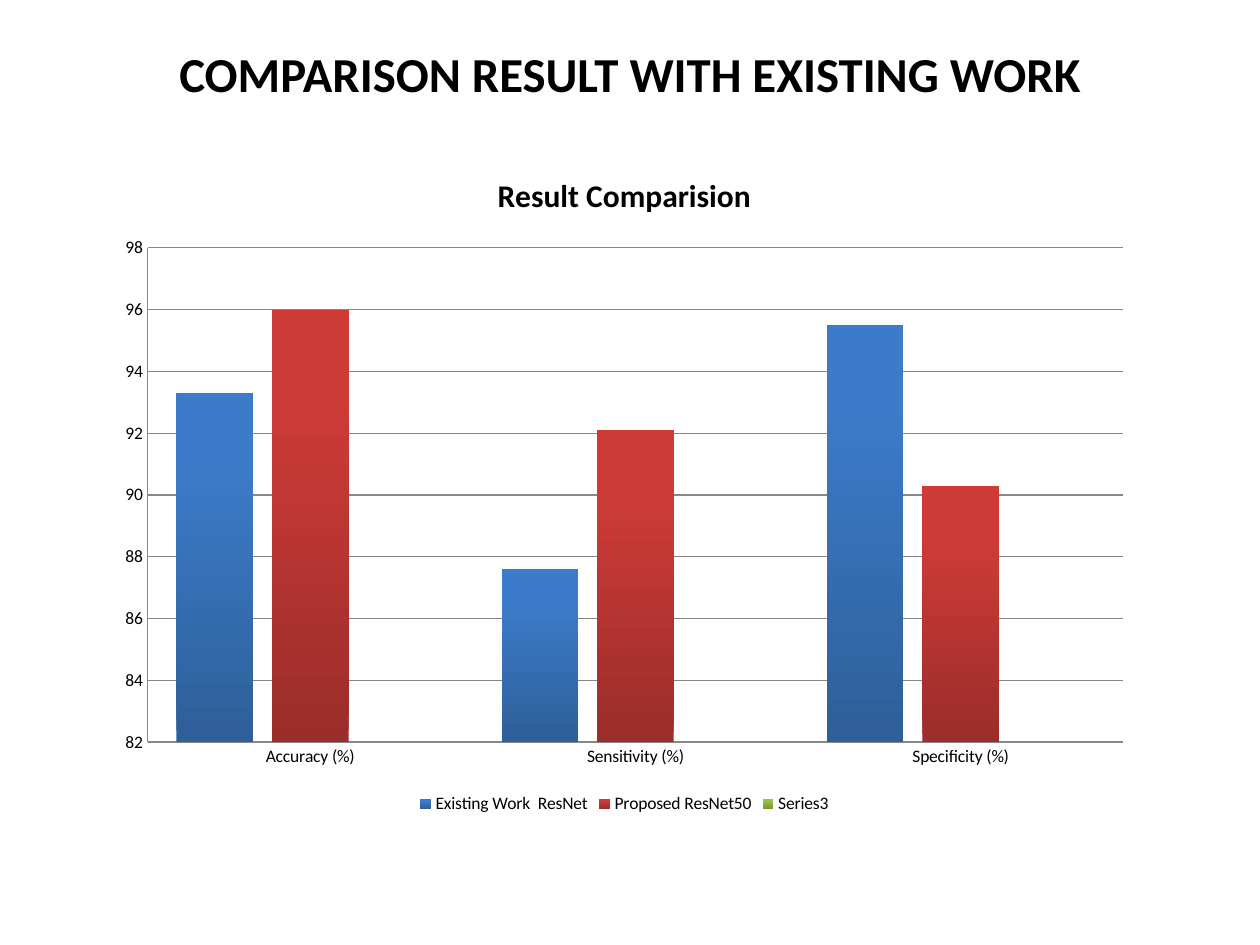
from pptx import Presentation
from pptx.chart.data import CategoryChartData
from pptx.dml.color import RGBColor
from pptx.enum.chart import XL_CHART_TYPE as ChartType
from pptx.enum.chart import XL_LEGEND_POSITION as LegendPosition
from pptx.enum.chart import XL_TICK_MARK as TickMark
from pptx.enum.text import MSO_ANCHOR as Anchor
from pptx.enum.text import PP_ALIGN as Align
from pptx.util import Inches, Pt

COLORS = {"text": "000000", "line": "878787"}
CATEGORIES = ["Accuracy (%)", "Sensitivity (%)", "Specificity (%)"]
SERIES = [
    ("Existing Work  ResNet", [93.3, 87.6, 95.5], ("2E5F99", "3C7BC9")),
    ("Proposed ResNet50", [96, 92.1, 90.3], ("9B2D2A", "CE3B37")),
    ("Series3", [None, None, None], ("769535", "9BC348")),
]
TITLE_BOX = (0.5, 0.3, 9, 1.25)
CHART_BOX = (0.83, 1.17, 8.25, 5.33)


def set_attributes(target, values):
    for name, value in values.items():
        setattr(target, name, value)


def format_font(font, size, bold=False):
    set_attributes(font, {"name": "Calibri", "size": Pt(size), "bold": bold})
    font.color.rgb = RGBColor.from_string(COLORS["text"])


def format_line(line):
    line.color.rgb = RGBColor.from_string(COLORS["line"])
    line.width = Pt(0.75)


def place_title(slide, box):
    title = slide.shapes.title
    left, top, width, height = map(Inches, box)
    set_attributes(title, {"left": left, "top": top, "width": width, "height": height})
    set_attributes(title.text_frame, {"word_wrap": True, "vertical_anchor": Anchor.TOP})
    paragraph = title.text_frame.paragraphs[0]
    paragraph.alignment = Align.CENTER
    run = paragraph.add_run()
    run.text = "COMPARISON RESULT WITH EXISTING WORK"
    format_font(run.font, 27.9, bold=True)


def fill_series(series, colors):
    fill = series.format.fill
    fill.gradient()
    fill.gradient_angle = 90
    for stop, color, position in zip(fill.gradient_stops, colors, (0, 0.8)):
        stop.color.rgb = RGBColor.from_string(color)
        stop.position = position


def place_chart(slide, box):
    data = CategoryChartData()
    data.categories = CATEGORIES
    for name, values, _ in SERIES:
        data.add_series(name, values)
    chart = slide.shapes.add_chart(
        ChartType.COLUMN_CLUSTERED, *map(Inches, box), data
    ).chart
    format_font(chart.font, 10)

    chart.has_title = True
    paragraph = chart.chart_title.text_frame.paragraphs[0]
    run = paragraph.add_run()
    run.text = "Result Comparision"
    format_font(run.font, 18, bold=True)
    chart.chart_title.include_in_layout = False

    chart.has_legend = True
    set_attributes(
        chart.legend, {"position": LegendPosition.BOTTOM, "include_in_layout": False}
    )

    for axis in (chart.category_axis, chart.value_axis):
        set_attributes(
            axis,
            {"major_tick_mark": TickMark.NONE, "minor_tick_mark": TickMark.NONE},
        )
        format_line(axis.format.line)
    set_attributes(
        chart.value_axis,
        {
            "minimum_scale": 82,
            "maximum_scale": 98,
            "major_unit": 2,
            "has_major_gridlines": True,
        },
    )
    format_line(chart.value_axis.major_gridlines.format.line)

    plot = chart.plots[0]
    set_attributes(plot, {"gap_width": 75, "overlap": -25, "vary_by_categories": False})
    for series, (_, _, colors) in zip(plot.series, SERIES):
        fill_series(series, colors)


def main():
    presentation = Presentation()
    set_attributes(
        presentation, {"slide_width": Inches(10), "slide_height": Inches(7.5)}
    )
    slide = presentation.slides.add_slide(presentation.slide_layouts[5])
    place_title(slide, TITLE_BOX)
    place_chart(slide, CHART_BOX)
    presentation.save("out.pptx")


if __name__ == "__main__":
    main()
